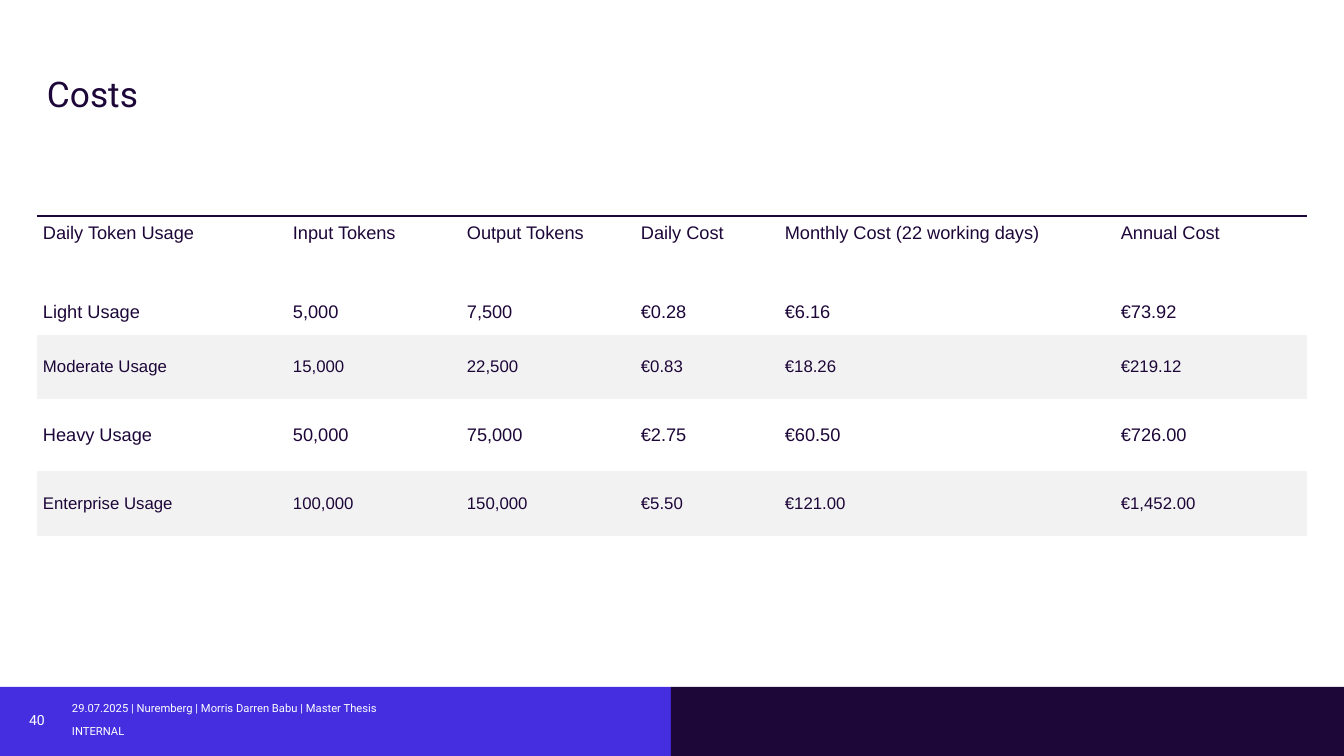
from pptx import Presentation
from pptx.dml.color import RGBColor
from pptx.enum.shapes import MSO_SHAPE
from pptx.enum.text import MSO_ANCHOR as Anchor, PP_ALIGN as Align
from pptx.oxml import parse_xml
from pptx.oxml.ns import nsdecls
from pptx.util import Pt

PX = 914400 / 100.8
WIDTH, HEIGHT = 1344, 756
NAVY, VIOLET, WHITE, BAND = "1D0638", "442EE0", "FFFFFF", "F2F2F2"
NO_STYLE = "{2D5ABB26-0587-4C30-8999-92F81FD0307C}"

COLUMN_WIDTHS = [250, 174, 174, 144, 336, 192]
ROW_HEIGHTS = [73, 46, 64, 72, 65]
COSTS = [
    ["Daily Token Usage", "Input Tokens", "Output Tokens", "Daily Cost",
     "Monthly Cost (22 working days)", "Annual Cost"],
    ["Light Usage", "5,000", "7,500", "€0.28", "€6.16", "€73.92"],
    ["Moderate Usage", "15,000", "22,500", "€0.83", "€18.26", "€219.12"],
    ["Heavy Usage", "50,000", "75,000", "€2.75", "€60.50", "€726.00"],
    ["Enterprise Usage", "100,000", "150,000", "€5.50", "€121.00", "€1,452.00"],
]


def px(length):
    return round(length * PX)


def box_emu(*box):
    return [px(length) for length in box]


def color(hex_string):
    return RGBColor.from_string(hex_string)


def set_insets(owner, left, top, right, bottom):
    """Set the margins of a text frame or table cell in px."""
    owner.margin_left, owner.margin_right = px(left), px(right)
    owner.margin_top, owner.margin_bottom = px(top), px(bottom)


def add_run(paragraph, text, size, hex_string, font_name):
    run = paragraph.add_run()
    run.text = text
    run.font.name = font_name
    run.font.size = Pt(size)
    run.font.bold = False
    run.font.color.rgb = color(hex_string)


def add_title(slide, left, top, width, height):
    title = slide.shapes.title
    title.left, title.top, title.width, title.height = box_emu(left, top, width, height)
    frame = title.text_frame
    frame.word_wrap = True
    frame.vertical_anchor = Anchor.TOP
    set_insets(frame, 10, 24, 10, 0)
    heading = frame.paragraphs[0]
    heading.alignment = Align.LEFT
    heading.line_spacing = 0.9
    add_run(heading, "Costs", 25.2, NAVY, "Roboto")


def add_top_border(cell):
    cell._tc.get_or_add_tcPr().insert(0, parse_xml(
        f'<a:lnT {nsdecls("a")} w="{Pt(2.25)}"><a:solidFill>'
        f'<a:srgbClr val="{NAVY}"/></a:solidFill></a:lnT>'))


def add_cost_table(slide, left, top):
    box = box_emu(left, top, sum(COLUMN_WIDTHS), sum(ROW_HEIGHTS))
    table = slide.shapes.add_table(len(COSTS), len(COLUMN_WIDTHS), *box).table
    table.first_row = table.horz_banding = False
    table._tbl.tblPr.find("{*}tableStyleId").text = NO_STYLE
    for column, width in zip(table.columns, COLUMN_WIDTHS):
        column.width = px(width)
    for row_index, (row, height) in enumerate(zip(table.rows, ROW_HEIGHTS)):
        row.height = px(height)
        is_header = row_index == 0
        is_banded = row_index in (2, 4)
        for cell, text in zip(row.cells, COSTS[row_index]):
            set_insets(cell, 6, 7, 6, 7)
            cell.vertical_anchor = Anchor.TOP if is_header else Anchor.MIDDLE
            if is_banded:
                cell.fill.solid()
                cell.fill.fore_color.rgb = color(BAND)
            else:
                cell.fill.background()
            if is_header:
                add_top_border(cell)
            add_run(cell.text_frame.paragraphs[0], text,
                    12 if is_banded else 13, NAVY, "Arial")


def add_footer_band(slide, box, fill):
    band = slide.shapes.add_shape(MSO_SHAPE.RECTANGLE, *box_emu(*box))
    band.shadow.inherit = False
    band.fill.solid()
    band.fill.fore_color.rgb = color(fill)
    band.line.fill.background()


def add_footer_text(slide, box, text, size, anchor, alignment, line_spacing):
    frame = slide.shapes.add_textbox(*box_emu(*box)).text_frame
    frame.word_wrap = True
    frame.vertical_anchor = anchor
    set_insets(frame, 10, 5, 10, 5)
    paragraph = frame.paragraphs[0]
    paragraph.alignment = alignment
    paragraph.line_spacing = line_spacing
    add_run(paragraph, text, size, WHITE, "Roboto")


def add_footer(slide, left, top, width, height):
    split = 671
    add_footer_band(slide, (left, top, split, height), VIOLET)
    add_footer_band(slide, (left + split, top, width - split, height), NAVY)
    details = ["29.07.2025 | Nuremberg | Morris Darren Babu | Master Thesis", "INTERNAL"]
    for index, detail in enumerate(details):
        add_footer_text(slide, (left + 62, top + 10 + 23 * index, 597, 23),
                        detail, 8, Anchor.BOTTOM, Align.LEFT, 0.9)
    add_footer_text(slide, (left + 14, top + 10, 46, 46),
                    "40", 10, Anchor.MIDDLE, Align.CENTER, 1.0)


def main():
    deck = Presentation()
    deck.slide_width, deck.slide_height = px(WIDTH), px(HEIGHT)
    slide = deck.slides.add_slide(deck.slide_layouts[5])
    add_footer(slide, 0, 687, WIDTH, 69)
    add_title(slide, 37, 53, 1270, 50)
    add_cost_table(slide, 37, 216)
    deck.save("out.pptx")


if __name__ == "__main__":
    main()
